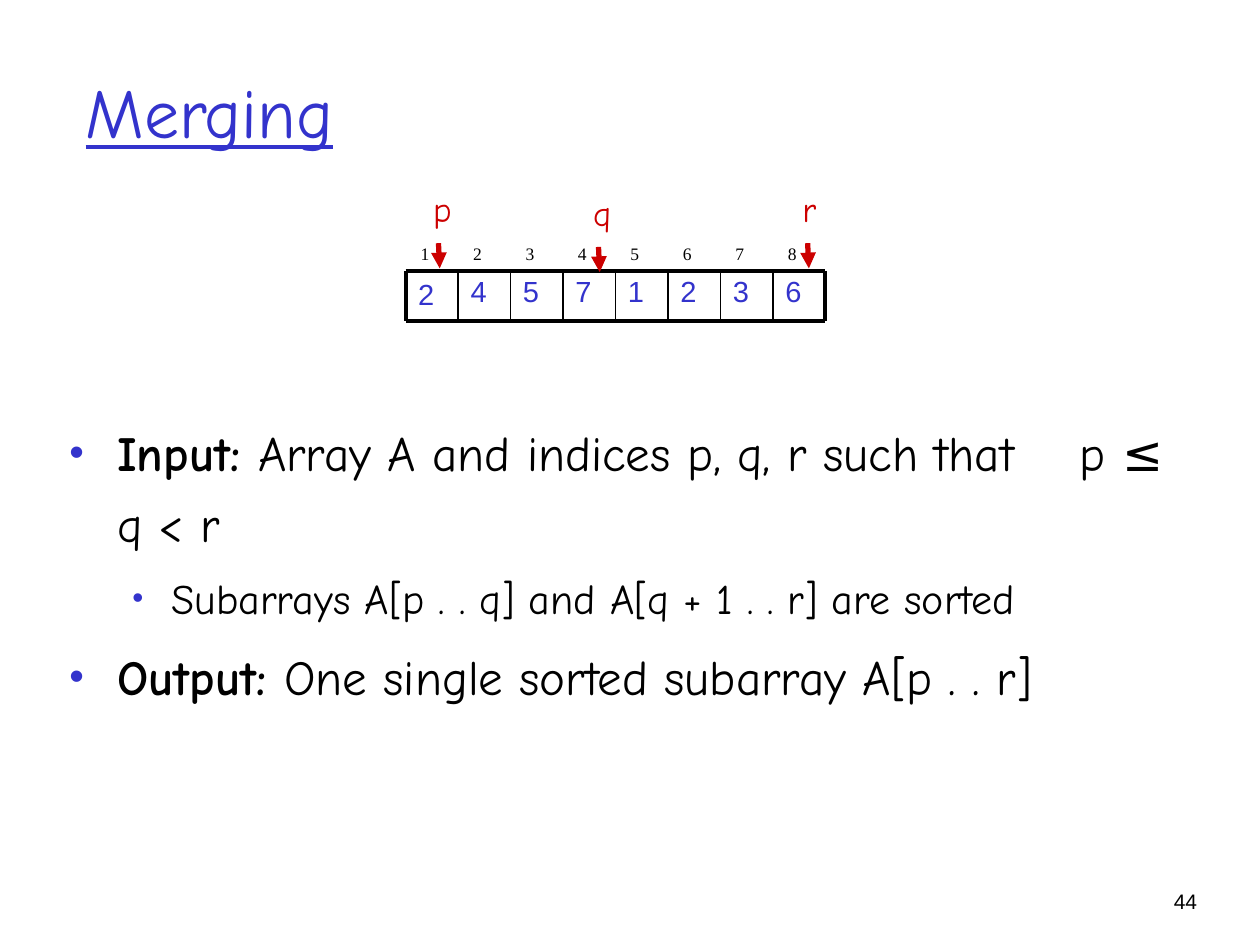
from lxml.etree import SubElement
from pptx import Presentation
from pptx.dml.color import RGBColor
from pptx.enum.shapes import MSO_CONNECTOR
from pptx.enum.text import MSO_ANCHOR, MSO_AUTO_SIZE, PP_ALIGN
from pptx.oxml.ns import qn
from pptx.util import Inches, Pt

COLORS = {"ink": "000000", "blue": "3333CC", "red": "CC0000"}
FONTS = {"main": "Comic Neue", "index": "Times New Roman", "plain": "Arial"}
TITLE = "Merging"
PAGE = "44"
BODY = [
    (0, "Input: ", "Array A and indices p, q, r such that\tp ≤ q < r"),
    (1, "", "Subarrays A[p . . q] and A[q + 1 . . r] are sorted"),
    (0, "Output: ", "One single sorted subarray A[p . . r]"),
]
LEVELS = [
    {"size": 28, "marL": 0.38, "indent": -0.38, "bullet": 85, "before": 7},
    {"size": 24, "marL": 0.81, "indent": -0.31, "bullet": 75, "before": 6},
]
VALUES = [2, 4, 5, 7, 1, 2, 3, 6]
POINTERS = [("p", 3.48, 1.93), ("q", 4.75, 1.96), ("r", 6.41, 1.93)]
LEFT, TOP, RIGHT, BOTTOM = 3.22, 2.15, 6.55, 2.55
CELL = (RIGHT - LEFT) / len(VALUES)
THAT_TAB = 8.02


def add_run(p, text, size, font="main", color="ink", **extra):
    r = p.add_run()
    r.text = text
    r.font.color.rgb = RGBColor.from_string(COLORS[color])
    for name, value in {"size": Pt(size), "name": FONTS[font], **extra}.items():
        setattr(r.font, name, value)


def place(sp, *box):
    for name, value in zip(("left", "top", "width", "height"), box):
        setattr(sp, name, Inches(value))


def add_label(s, box, text, *style, wrap=True, **para):
    tf = s.shapes.add_textbox(*map(Inches, box)).text_frame
    tf.word_wrap = wrap
    p = tf.paragraphs[0]
    for name, value in para.items():
        setattr(p, name, value)
    add_run(p, text, *style)
    return tf


def add_line(s, x1, y1, x2, y2, width, color="ink", arrow=False):
    ends = map(Inches, (x1, y1, x2, y2))
    line = s.shapes.add_connector(MSO_CONNECTOR.STRAIGHT, *ends)
    line.line.color.rgb = RGBColor.from_string(COLORS[color])
    line.line.width = Pt(width)
    if arrow:
        SubElement(line.line._get_or_add_ln(), qn("a:tailEnd"), type="triangle")
    SubElement(line._element.spPr, qn("a:effectLst"))


def add_bullet(p, level):
    pPr = p._p.get_or_add_pPr()
    for name in ("marL", "indent"):
        pPr.set(name, str(Inches(level[name])))
    color = SubElement(pPr, qn("a:buClr"))
    SubElement(color, qn("a:srgbClr"), val=COLORS["blue"])
    SubElement(pPr, qn("a:buSzPct"), val=str(level["bullet"] * 1000))
    SubElement(pPr, qn("a:buFont"), typeface=FONTS["plain"])
    SubElement(pPr, qn("a:buChar"), char="•")
    tabs = SubElement(pPr, qn("a:tabLst"))
    SubElement(tabs, qn("a:tab"), pos=str(Inches(THAT_TAB)), algn="l")


def add_title(s):
    sp = s.shapes.title
    place(sp, 0.58, 0.25, 8.5, 1.25)
    tf = sp.text_frame
    tf.auto_size, tf.vertical_anchor = MSO_AUTO_SIZE.NONE, MSO_ANCHOR.MIDDLE
    p = tf.paragraphs[0]
    p.alignment = PP_ALIGN.LEFT
    add_run(p, TITLE, 40, color="blue", underline=True)


def add_body(s):
    sp = s.placeholders[1]
    place(sp, 0.45, 3.21, 8.99, 2.93)
    tf = sp.text_frame
    tf.auto_size = MSO_AUTO_SIZE.NONE
    for i, (depth, lead, text) in enumerate(BODY):
        p = tf.add_paragraph() if i else tf.paragraphs[0]
        level = LEVELS[depth]
        p.level, p.line_spacing = depth, 1.2
        p.space_before = Pt(level["before"] if i else 0)
        add_bullet(p, level)
        if lead:
            add_run(p, lead, level["size"], bold=True)
        add_run(p, text, level["size"])


def add_array(s):
    for i, value in enumerate(VALUES):
        x = LEFT + i * CELL
        add_label(s, (x + 0.02, 1.88, 0.25, 0.27), str(i + 1), 10, "index")
        tf = add_label(s, (x, TOP, CELL, BOTTOM - TOP), str(value),
                       16.6, "plain", "blue", line_spacing=0.9)
        tf.vertical_anchor = MSO_ANCHOR.TOP if i else MSO_ANCHOR.MIDDLE
    for y in (TOP, BOTTOM):
        add_line(s, LEFT, y, RIGHT, y, 2.25)
    for i in range(len(VALUES) + 1):
        x = LEFT + i * CELL
        add_line(s, x, TOP, x, BOTTOM, 1 if 0 < i < len(VALUES) else 2.25)


def add_pointers(s):
    for name, x, y in POINTERS:
        add_line(s, x, y, x + 0.01, y + 0.2, 3, "red", arrow=True)
        add_label(s, (x - 0.14, y - 0.49, 0.34, 0.44), name, 20, "main", "red",
                  wrap=False)


def main():
    """Build the slide on merging two sorted subarrays."""
    prs = Presentation()
    prs.slide_width, prs.slide_height = Inches(10), Inches(7.5)
    s = prs.slides.add_slide(prs.slide_layouts[1])
    add_title(s)
    add_body(s)
    add_array(s)
    add_pointers(s)
    add_label(s, (8.8, 7, 0.8, 0.32), PAGE, 12, "plain", alignment=PP_ALIGN.RIGHT)
    prs.save("out.pptx")


if __name__ == "__main__":
    main()
